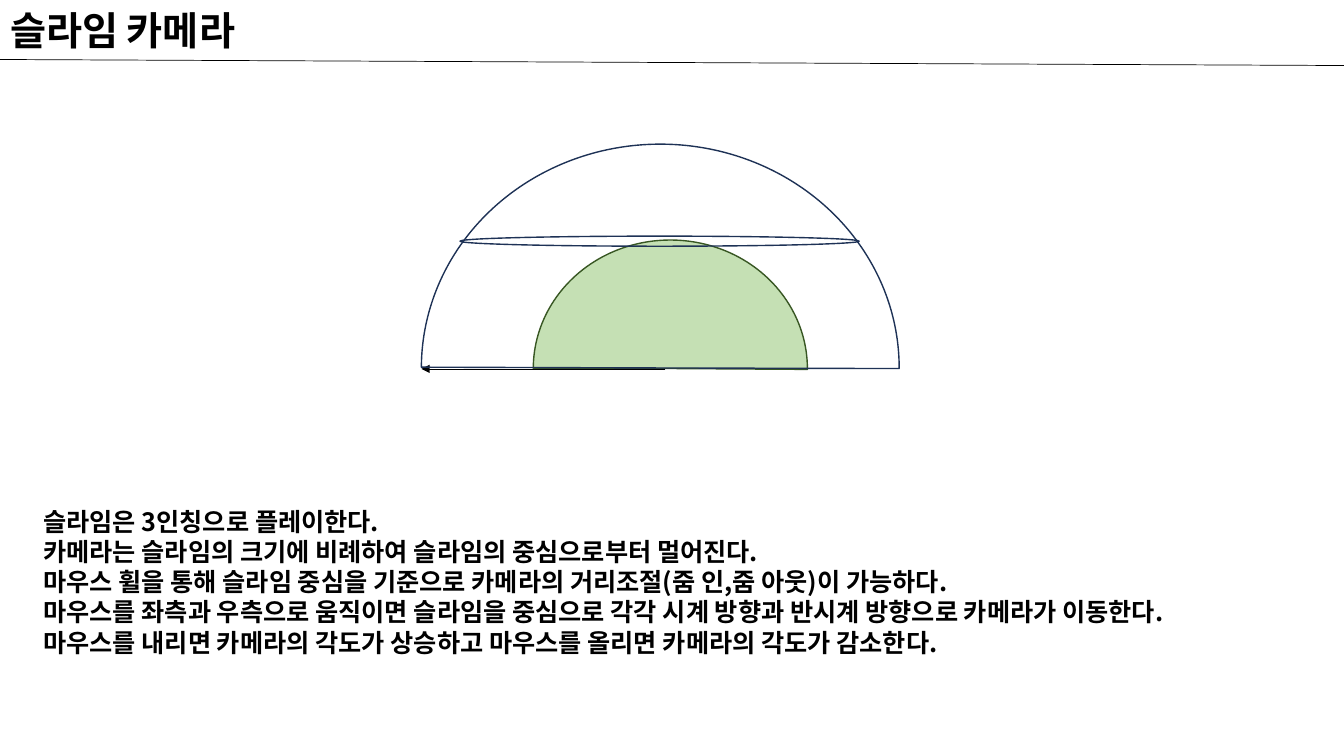
import pptx
import pptx.util
import pptx.dml.color
import pptx.enum.shapes
import pptx.enum.text
import pptx.oxml
import pptx.oxml.ns
from lxml import etree

Pt = pptx.util.Pt
RGBColor = pptx.dml.color.RGBColor
MSO_SHAPE = pptx.enum.shapes.MSO_SHAPE
qn = pptx.oxml.ns.qn

# Content
TITLE = "슬라임 카메라"
RULES = [
    "슬라임은 3인칭으로 플레이한다.",
    "카메라는 슬라임의 크기에 비례하여 슬라임의 중심으로부터 멀어진다.",
    "마우스 휠을 통해 슬라임 중심을 기준으로 카메라의 거리조절(줌 인,줌 아웃)이 가능하다.",
    "마우스를 좌측과 우측으로 움직이면 슬라임을 중심으로 각각 시계 방향과 반시계 방향으로 카메라가 이동한다.",
    "마우스를 내리면 카메라의 각도가 상승하고 마우스를 올리면 카메라의 각도가 감소한다.",
]

FONT = "Noto Sans CJK KR"
BLACK = RGBColor(0x00, 0x00, 0x00)
NAVY = RGBColor(0x1E, 0x32, 0x56)
GREEN = RGBColor(0xC5, 0xE0, 0xB4)
DARK_GREEN = RGBColor(0x38, 0x57, 0x23)
WIDTH, HEIGHT = 960, 540

# Diagram: left, top, width, height
SLIME = (380.9, 171.4, 195.8, 183.6)
CAMERA_DOME = (301, 103, 341.3, 319.7)
CAMERA_ORBIT = (328.6, 168.7, 285.1, 7.2)


def write(sp, lines, size, wrap):
    tf = sp.text_frame
    tf.word_wrap = wrap
    tf.vertical_anchor = pptx.enum.text.MSO_ANCHOR.TOP
    tf.auto_size = pptx.enum.text.MSO_AUTO_SIZE.SHAPE_TO_FIT_TEXT
    tf.text = "\n".join(lines)
    for p in tf.paragraphs:
        p.alignment = pptx.enum.text.PP_ALIGN.LEFT
        p.font.size = Pt(size)
        p.font.bold = True
        p.font.color.rgb = BLACK
        p.font.name = FONT
        latin = p.font._element.find(qn("a:latin"))
        ea = etree.Element(qn("a:ea"), typeface=FONT)
        latin.addnext(ea)


def add_outline(slide, kind, box, line, fill=None, angles=()):
    sp = slide.shapes.add_shape(kind, *map(Pt, box))
    sp.shadow.inherit = False
    for i, angle in enumerate(angles):
        sp.adjustments[i] = angle
    if fill is None:
        sp.fill.background()
    else:
        sp.fill.solid()
        sp.fill.fore_color.rgb = fill
    sp.line.color.rgb = line
    sp.line.width = Pt(1)
    return sp


def add_line(slide, ends, arrow=False):
    cn = slide.shapes.add_connector(
        pptx.enum.shapes.MSO_CONNECTOR.STRAIGHT, *map(Pt, ends))
    cn.line.color.rgb = BLACK
    cn.line.width = Pt(0.5)
    if arrow:
        etree.SubElement(cn.line._get_or_add_ln(), qn("a:tailEnd"), type="triangle")
    etree.SubElement(cn._element.spPr, qn("a:effectLst"))


def main():
    prs = pptx.Presentation()
    prs.slide_width, prs.slide_height = Pt(WIDTH), Pt(HEIGHT)
    slide = prs.slides.add_slide(prs.slide_layouts[5])

    # Camera rules
    sp = slide.shapes.add_textbox(Pt(23.8), Pt(357.8), Pt(913), Pt(116.6))
    write(sp, RULES, 18, True)

    # Title and its rule
    add_line(slide, (0, 42.5, WIDTH, 46.8))
    title = slide.shapes.title
    title.left, title.top, title.width, title.height = map(Pt, (0, 0.7, 194.4, 41))
    write(title, [TITLE], 28, False)

    # Slime, distance arrow, camera orbit and dome; pie angles are in 5/3 degrees
    slime = add_outline(slide, MSO_SHAPE.PIE, SLIME, DARK_GREEN, GREEN, (0, 108.22))
    slime.rotation = 180
    add_line(slide, (475.2, 263.5, 301, 263.5), arrow=True)
    add_outline(slide, MSO_SHAPE.OVAL, CAMERA_ORBIT, NAVY)
    add_outline(slide, MSO_SHAPE.PIE, CAMERA_DOME, NAVY, angles=(108.11, 0.09))

    prs.save("out.pptx")


if __name__ == "__main__":
    main()
